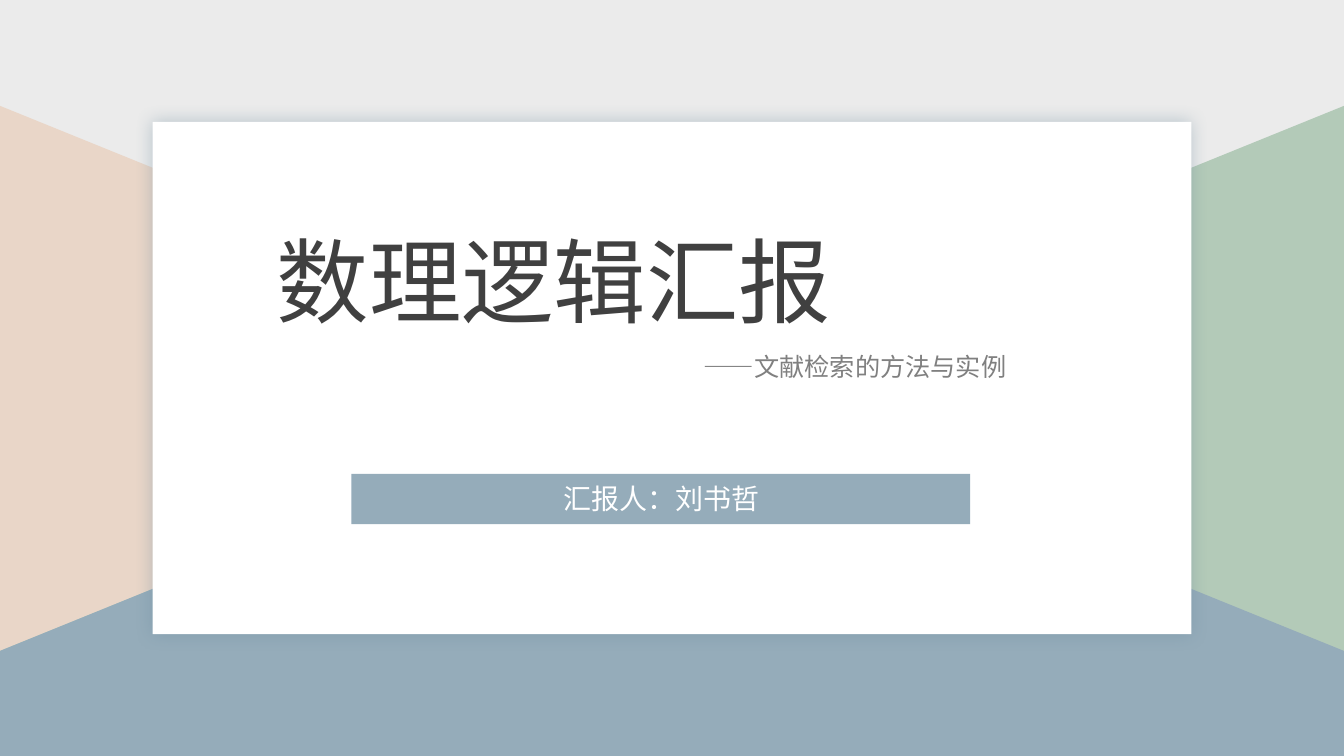
from lxml import etree
from pptx import Presentation
from pptx.dml.color import RGBColor
from pptx.enum import shapes, text
from pptx.oxml.ns import qn
from pptx.util import Pt

FONT = "Noto Sans CJK SC"
WHITE = RGBColor(0xFF, 0xFF, 0xFF)
PALE = RGBColor(0xEB, 0xEB, 0xEB)
PEACH = RGBColor(0xE9, 0xD6, 0xC8)
GREEN = RGBColor(0xB3, 0xCA, 0xB8)
BLUE = RGBColor(0x95, 0xAC, 0xBA)
SHADE = RGBColor(0x68, 0x88, 0x9C)
DARK = RGBColor(0x40, 0x40, 0x40)
GREY = RGBColor(0x80, 0x80, 0x80)
WIDE, HIGH = 960, 540


def paint(shape, color):
    shape.shadow.inherit = False
    shape.fill.solid()
    shape.fill.fore_color.rgb = color
    shape.line.fill.background()


def add_rect(slide, box, color):
    rect = slide.shapes.add_shape(
        shapes.MSO_SHAPE.RECTANGLE, *(Pt(v) for v in box))
    paint(rect, color)
    return rect


def add_poly(slide, points, color):
    start, *rest = [(Pt(x), Pt(y)) for x, y in points]
    pen = slide.shapes.build_freeform(*start)
    pen.add_line_segments(rest)
    paint(pen.convert_to_shape(), color)


def add_glow(shape):
    """Put a soft, centred shadow around the shape."""
    list_ = shape._element.spPr.find(qn("a:effectLst"))
    glow = etree.SubElement(list_, qn("a:outerShdw"), blurRad=str(Pt(13)),
                            dist="0", dir="0", algn="ctr", rotWithShape="0")
    tint = etree.SubElement(glow, qn("a:srgbClr"), val=str(SHADE))
    etree.SubElement(tint, qn("a:alpha"), val="40000")


def set_text(shape, box, words, size, color, align, space=1.0):
    shape.left, shape.top, shape.width, shape.height = (Pt(v) for v in box)
    frame = shape.text_frame
    frame.word_wrap = True
    frame.auto_size = text.MSO_AUTO_SIZE.NONE
    frame.vertical_anchor = text.MSO_ANCHOR.MIDDLE
    para = frame.paragraphs[0]
    para.alignment = align
    para.line_spacing = space
    para.space_before = Pt(0)
    run = para.add_run()
    run.text = words
    run.font.size = Pt(size)
    run.font.name = FONT
    run.font.color.rgb = color
    etree.SubElement(run.font._element, qn("a:ea"), typeface=FONT)


def draw_back(slide, box):
    """Fill the box with a pale ground and three crossing wedges."""
    x, y, w, h = box
    right, base = x + w, y + h
    high, low = y + 0.14 * h, y + 0.861 * h
    add_rect(slide, box, PALE)
    for near, far, color in ((x, right, PEACH), (right, x, GREEN)):
        add_poly(slide, [(near, high), (far, low), (far, base),
                         (near, base)], color)
    add_poly(slide, [(x + w / 2, y + h / 2), (right, low), (right, base),
                     (x, base), (x, low)], BLUE)


def draw_card(slide, box):
    x, y, w, h = box
    align = text.PP_ALIGN
    add_glow(add_rect(slide, box, WHITE))
    set_text(slide.shapes.title, (x + 81.5, y + 69, 579, 87),
             "数理逻辑汇报", 66, DARK, align.JUSTIFY)
    set_text(slide.placeholders[1], (x + 122, y + 156, 495, 33),
             "——文献检索的方法与实例", 18, GREY, align.RIGHT, 1.2)
    add_rect(slide, (x + 142, y + 251.5, 442, 36), BLUE)
    name = slide.shapes.add_textbox(0, 0, 0, 0)
    set_text(name, (x + 214, y + 253, 299, 31.5),
             "汇报人：刘书哲", 20, WHITE, align.CENTER)


def main():
    deck = Presentation()
    deck.slide_width, deck.slide_height = Pt(WIDE), Pt(HIGH)
    slide = deck.slides.add_slide(deck.slide_layouts[0])
    draw_back(slide, (0, 0, WIDE, HIGH))
    draw_card(slide, (109, 87, 742, 366))
    tree = slide.shapes._spTree
    for holder in (slide.shapes.title, slide.placeholders[1]):
        tree.append(holder._element)
    deck.save("out.pptx")


if __name__ == "__main__":
    main()
